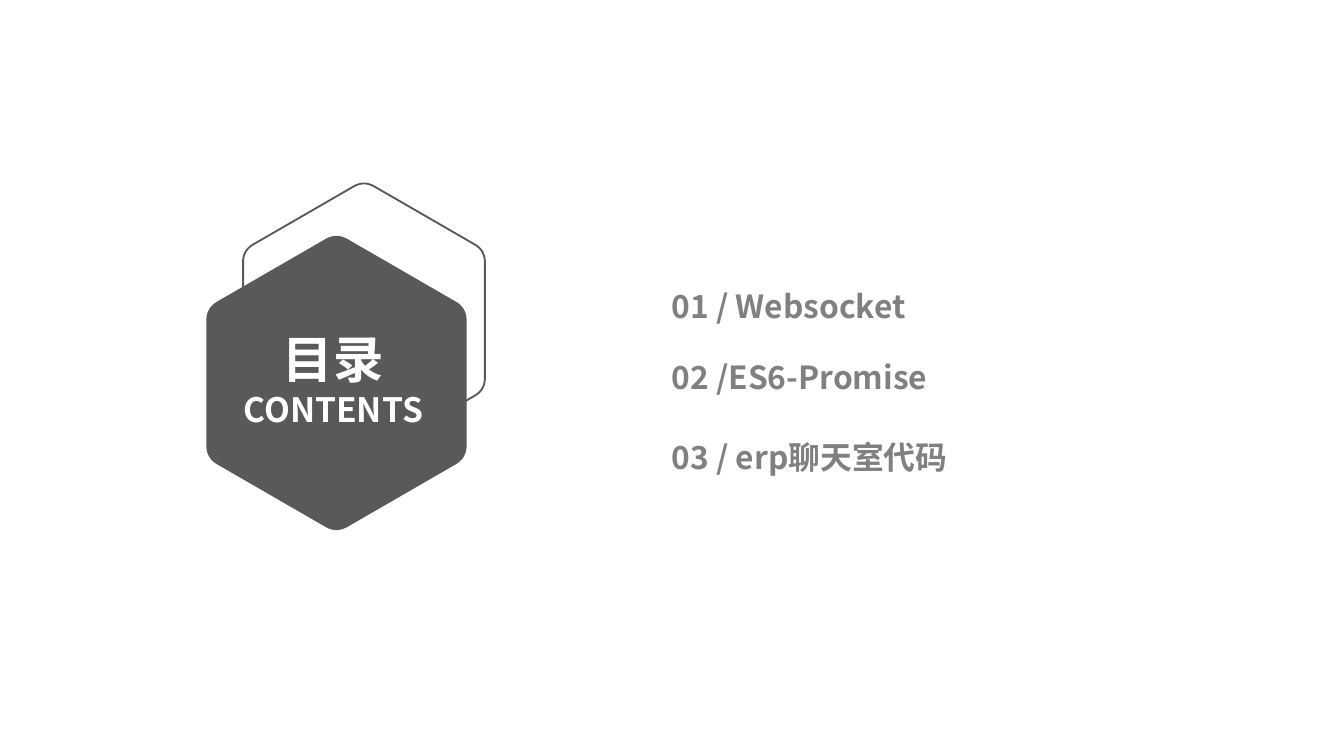
import math

from lxml import etree
from pptx import Presentation
from pptx.dml.color import RGBColor
from pptx.enum import text
from pptx.oxml.ns import qn
from pptx.util import Cm, Pt

DARK = RGBColor(0x59, 0x59, 0x59)
GREY = RGBColor(0x80, 0x80, 0x80)
WHITE = RGBColor(0xFF, 0xFF, 0xFF)
FONT = "Noto Sans CJK SC"
LINE_HEIGHT = 1.2
CORNER = 0.085  # share of each hexagon side taken by a rounded corner
CORNER_STEPS = 10

# text, space before in points
TOPICS = [("01 / Websocket", 0), ("02 /ES6-Promise", 17.6), ("03 / erp聊天室代码", 22.5)]


def hexagon_points(cx, cy, width):
    """Outline of a pointy-top regular hexagon, its corners rounded by quadratic curves."""
    radius = width / math.sqrt(3)
    corners = [(cx + radius * math.sin(math.radians(a)), cy - radius * math.cos(math.radians(a)))
               for a in range(0, 360, 60)]
    points = []
    for i, corner in enumerate(corners):
        before, after = corners[i - 1], corners[(i + 1) % 6]
        start, end = [[c + (n - c) * CORNER for c, n in zip(corner, near)]
                      for near in (before, after)]
        for step in range(CORNER_STEPS + 1):
            t = step / CORNER_STEPS
            points.append(tuple(Cm((1 - t) ** 2 * a + 2 * t * (1 - t) * c + t ** 2 * b)
                                for a, c, b in zip(start, corner, end)))
    return points


def add_hexagon(s, cx, cy, width, filled):
    points = hexagon_points(cx, cy, width)
    builder = s.shapes.build_freeform(*points[0])
    builder.add_line_segments(points[1:], close=True)
    sp = builder.convert_to_shape()
    sp.shadow.inherit = False
    if filled:
        sp.fill.solid()
        sp.fill.fore_color.rgb = DARK
        sp.line.fill.background()
    else:
        sp.fill.background()
        sp.line.color.rgb = DARK
        sp.line.width = Pt(1)
    return sp


def place_text(sp, left, top, width, height, lines):
    sp.left, sp.top, sp.width, sp.height = Cm(left), Cm(top), Cm(width), Cm(height)
    tf = sp.text_frame
    tf.text = "\n".join(lines)
    tf.word_wrap = True
    tf.auto_size = text.MSO_AUTO_SIZE.NONE
    tf.vertical_anchor = text.MSO_ANCHOR.TOP
    tf.margin_left = tf.margin_right = Cm(0.19)
    tf.margin_top = tf.margin_bottom = Cm(0.1)
    return tf.paragraphs


def format_paragraph(p, size, color, align, before=0):
    p.alignment = align
    p.line_spacing = Pt(size * LINE_HEIGHT)
    p.space_before = Pt(before)
    p.space_after = Pt(0)
    for r in p.runs:
        r.font.size = Pt(size)
        r.font.bold = True
        r.font.color.rgb = color
        r.font.name = FONT
        etree.SubElement(r.font._element, qn("a:ea")).set("typeface", FONT)


def remove_bullet(p):
    pPr = p._p.get_or_add_pPr()
    pPr.set("marL", "0")
    pPr.set("indent", "0")
    etree.SubElement(pPr, qn("a:buNone"))


def main():
    prs = Presentation()
    prs.slide_width, prs.slide_height = Cm(25.4), Cm(14.29)
    s = prs.slides.add_slide(prs.slide_layouts[1])
    title, body = s.placeholders

    add_hexagon(s, 6.88, 6.05, 4.57, filled=False)
    badge = add_hexagon(s, 6.36, 7.24, 4.92, filled=True)
    badge.element.addnext(title.element)  # the title lies on the badge

    heading = place_text(title, 3.99, 6.1, 4.62, 2.11, ["目录", "CONTENTS"])
    for p, size in zip(heading, (27, 18)):
        format_paragraph(p, size, WHITE, text.PP_ALIGN.CENTER)

    items = place_text(body, 12.5, 5.33, 8.31, 4.2, [topic for topic, _ in TOPICS])
    for p, (_, before) in zip(items, TOPICS):
        format_paragraph(p, 17, GREY, text.PP_ALIGN.LEFT, before)
        remove_bullet(p)

    prs.save("out.pptx")


if __name__ == "__main__":
    main()
